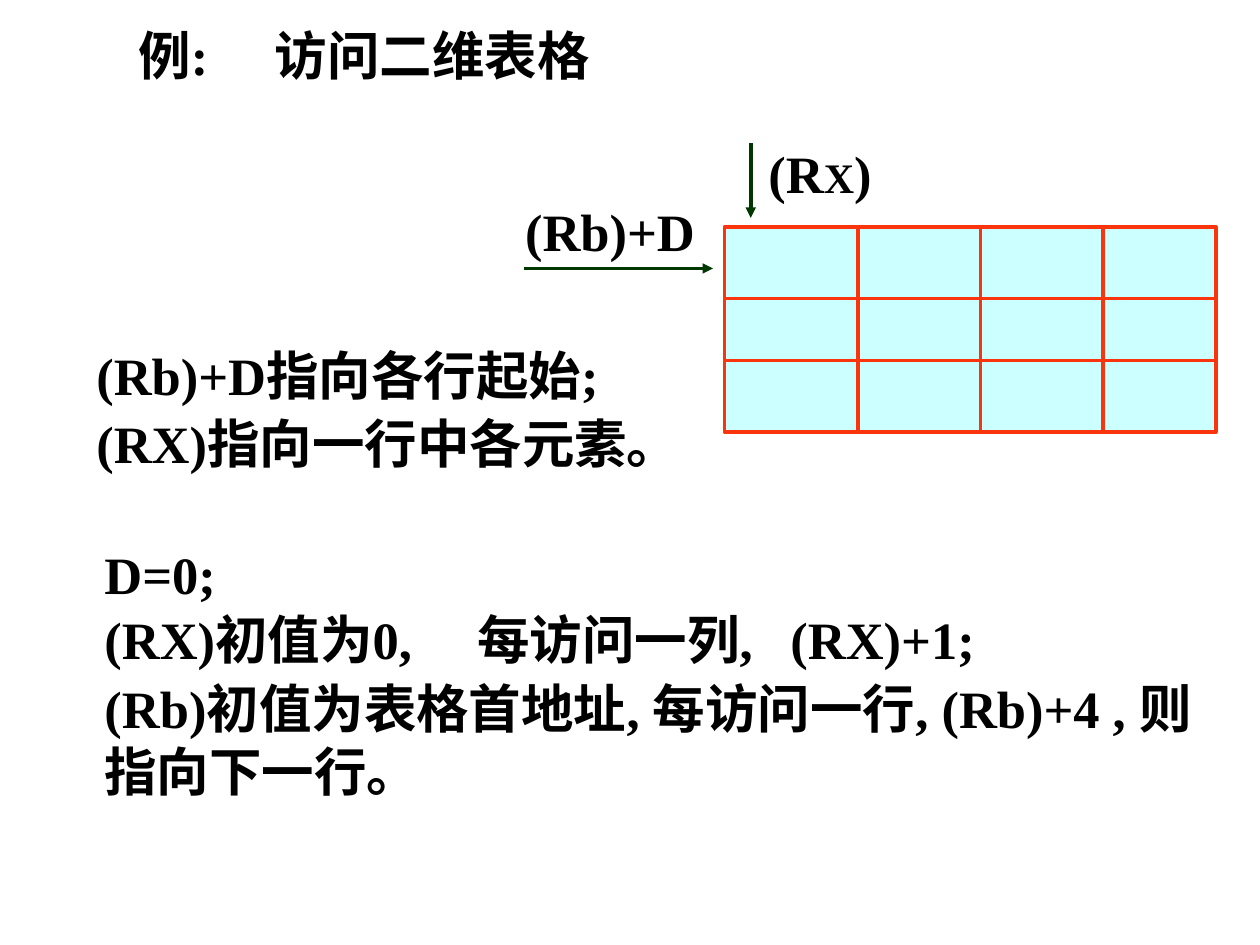
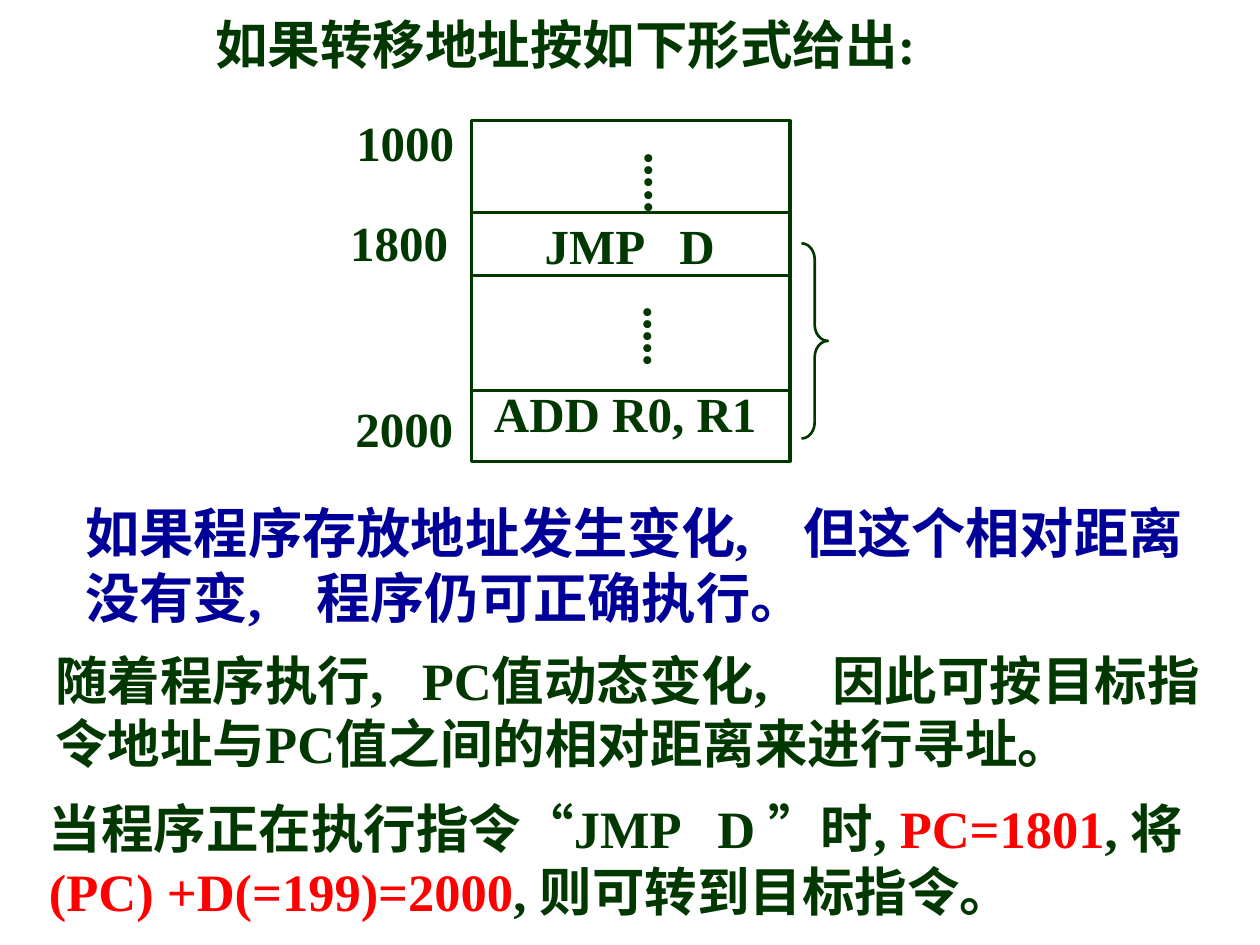
from dataclasses import dataclass

from lxml.etree import SubElement
from pptx import Presentation
from pptx.dml.color import RGBColor
from pptx.enum.lang import MSO_LANGUAGE_ID
from pptx.enum.shapes import MSO_CONNECTOR, MSO_SHAPE
from pptx.enum.text import MSO_ANCHOR, PP_ALIGN
from pptx.oxml.ns import qn
from pptx.util import Pt

RECTANGLE = MSO_SHAPE.RECTANGLE
RIGHT_BRACE = MSO_SHAPE.RIGHT_BRACE
STRAIGHT = MSO_CONNECTOR.STRAIGHT
TOP = MSO_ANCHOR.TOP
LEFT = PP_ALIGN.LEFT
CHINESE = MSO_LANGUAGE_ID.SIMPLIFIED_CHINESE


@dataclass(frozen=True)
class Theme:
    font: str = "Times New Roman"
    body: int = 30
    emphasis: int = 31
    memory: int = 28
    subscript: int = 24
    black: RGBColor = RGBColor(0x00, 0x00, 0x00)
    green: RGBColor = RGBColor(0x00, 0x38, 0x00)
    blue: RGBColor = RGBColor(0x00, 0x00, 0x99)
    red: RGBColor = RGBColor(0xFF, 0x00, 0x00)
    grid: RGBColor = RGBColor(0xFA, 0x35, 0x0E)
    cell: RGBColor = RGBColor(0xCC, 0xFF, 0xFF)


theme = Theme()


def write(box, *paragraphs, size=theme.body, color=theme.black, gaps=(), tabs=(), vertical=False):
    """Fill a box; a paragraph is a string or a list of (text, format changes).

    gaps are the spaces before the second and later paragraphs.
    """
    frame = box.text_frame
    frame.word_wrap = True
    frame.vertical_anchor = TOP
    if vertical:
        frame._txBody.bodyPr.set("vert", "eaVert")
    for index, content in enumerate(paragraphs):
        para = frame.add_paragraph() if index else frame.paragraphs[0]
        para.alignment = LEFT
        if index:
            para.space_before = Pt(gaps[index - 1])
        if tabs:
            stops = SubElement(para._p.get_or_add_pPr(), qn("a:tabLst"))
            for position in tabs:
                SubElement(stops, qn("a:tab"), pos=str(Pt(position)), algn="l")
        for text, changes in [(content, {})] if isinstance(content, str) else content:
            span = para.add_run()
            span.text = text
            span.font.name = theme.font
            span.font.bold = True
            span.font.language_id = CHINESE
            span.font.size = Pt(changes.get("size", size))
            span.font.color.rgb = changes.get("color", color)


def draw_line(page, x1, y1, x2, y2, color=theme.green, width=1.75, arrow=False):
    line = page.shapes.add_connector(STRAIGHT, Pt(x1), Pt(y1), Pt(x2), Pt(y2))
    line.line.color.rgb = color
    line.line.width = Pt(width)
    properties = line._element.spPr
    if arrow:
        SubElement(properties.find(qn("a:ln")), qn("a:tailEnd"), type="triangle")
    SubElement(properties, qn("a:effectLst"))


deck = Presentation()
deck.slide_width, deck.slide_height = Pt(720), Pt(540)
blank = deck.slide_layouts[6]

# Access to a two-dimensional table
page = deck.slides.add_slide(blank)
add_box = page.shapes.add_textbox

write(add_box(Pt(72), Pt(9.4), Pt(282), Pt(43)), "例:\t访问二维表格", tabs=[78])
write(add_box(Pt(48), Pt(192.2), Pt(365), Pt(84)),
      "(Rb)+D指向各行起始;", "(RX)指向一行中各元素。", gaps=[3])

left, top, width, height = 414, 129.6, 280.8, 117.4
right, bottom = left + width, top + height
grid = page.shapes.add_shape(RECTANGLE, Pt(left), Pt(top), Pt(width), Pt(height))
grid.shadow.inherit = False
grid.fill.solid()
grid.fill.fore_color.rgb = theme.cell
grid.line.color.rgb = theme.grid
grid.line.width = Pt(2)
for y in (170.6, 205.9):
    draw_line(page, left, y, right, y, color=theme.grid, width=2)
for column in range(3):
    x = 490.2 + 70 * column
    draw_line(page, x, top, x, bottom, color=theme.grid, width=2)

draw_line(page, 299.5, 153.4, 407.5, 153.4, width=2, arrow=True)
draw_line(page, 429, 82, 429, 124.5, width=2, arrow=True)
write(add_box(Pt(293), Pt(110.2), Pt(122), Pt(43)), "(Rb)+D")
write(add_box(Pt(432), Pt(77), Pt(90), Pt(43)),
      [("(R", {}), ("X", {"size": theme.subscript}), (")", {})])

write(add_box(Pt(52.6), Pt(306), Pt(648.7), Pt(157)),
      "D=0;",
      "(RX)初值为0,\t每访问一列,\t(RX)+1;",
      "(Rb)初值为表格首地址, 每访问一行, (Rb)+4 , 则指向下一行。",
      gaps=[1.5, 3], tabs=[213, 392])

# Relative addressing
page = deck.slides.add_slide(blank)
add_box = page.shapes.add_textbox

write(add_box(Pt(116), Pt(3.6), Pt(476), Pt(43)),
      "如果转移地址按如下形式给出:", color=theme.green)

left, top, width, height = 269.3, 69.1, 182.2, 194.4
memory = page.shapes.add_shape(RECTANGLE, Pt(left), Pt(top), Pt(width), Pt(height))
memory.shadow.inherit = False
memory.fill.background()
memory.line.color.rgb = theme.green
memory.line.width = Pt(1.75)
memory.text_frame.margin_left = Pt(13)
memory.text_frame.margin_top = Pt(54)
write(memory, "\tJMP\tD", "ADD R0, R1", size=theme.memory, color=theme.green,
      gaps=[62.7], tabs=[29, 106])
for y in (121.7, 157.7, 223.2):
    draw_line(page, left, y, left + width, y)

for x, y in ((352, 80), (351.4, 167.8)):
    write(add_box(Pt(x), Pt(y), Pt(48.2), Pt(59)), ".....",
          size=theme.memory, color=theme.green, vertical=True)
for address, x, y in (("1000", 196.5, 60.5), ("1800", 193, 118), ("2000", 196, 224)):
    write(add_box(Pt(x), Pt(y), Pt(126), Pt(41)), address,
          size=theme.memory, color=theme.green)

distance = page.shapes.add_shape(RIGHT_BRACE, Pt(458), Pt(139), Pt(15.1), Pt(111.6))
distance.shadow.inherit = False
distance.fill.background()
distance.line.color.rgb = theme.green
distance.line.width = Pt(1.5)
distance.adjustments[0] = 0.61

write(add_box(Pt(41.8), Pt(281.5), Pt(664), Pt(82)),
      "如果程序存放地址发生变化,\t但这个相对距离没有变,\t程序仍可正确执行。",
      size=theme.emphasis, color=theme.blue, tabs=[132, 410])
write(add_box(Pt(24.5), Pt(366.5), Pt(674), Pt(79)),
      "随着程序执行,\tPC值动态变化,\t因此可按目标指令地址与PC值之间的相对距离来进行寻址。",
      color=theme.green, tabs=[209.5, 444])
red = {"color": theme.red}
write(add_box(Pt(20.9), Pt(451.5), Pt(699), Pt(79)),
      [("当程序正在执行指令“JMP\tD ”时, ", {}), ("PC=1801", red), (", 将", {}),
       ("(PC) +D(=199)=2000", red), (", 则可转到目标指令。", {})],
      color=theme.green, tabs=[382])

deck.save("out.pptx")
